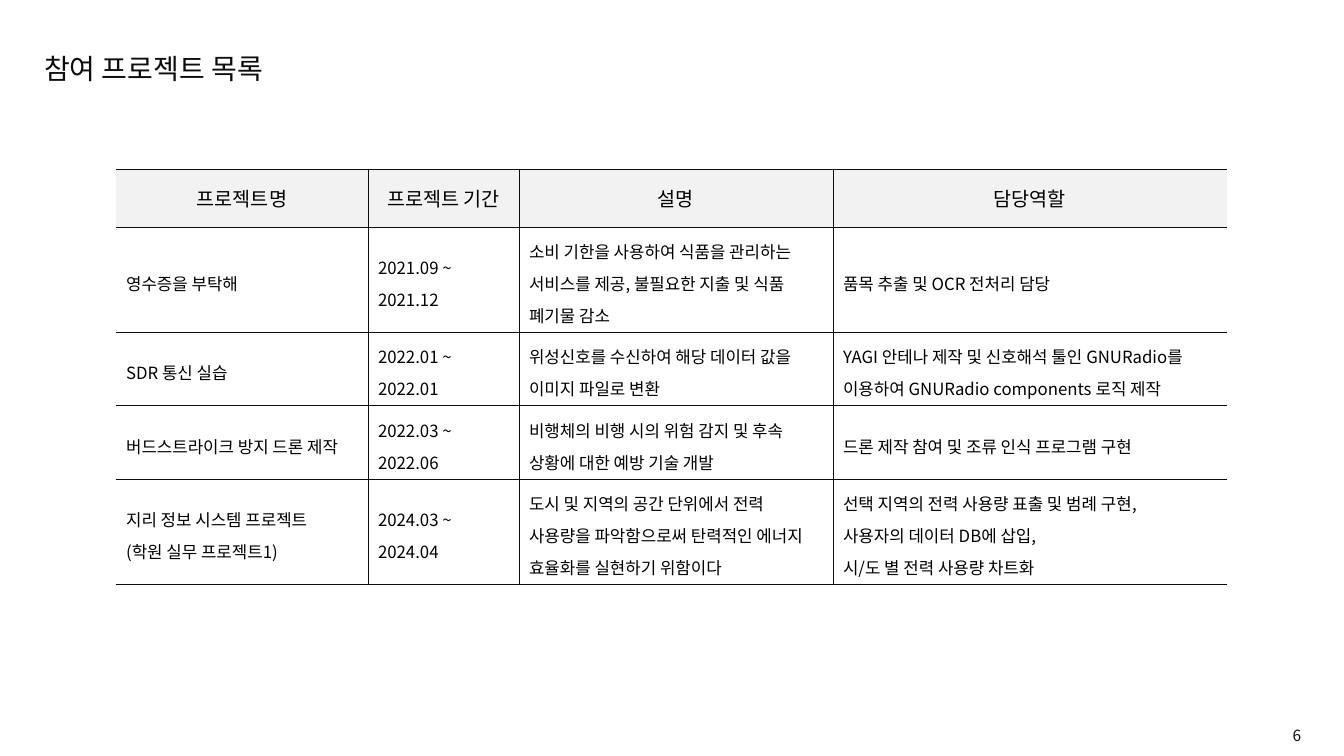
"""Build the slide listing the projects taken part in."""
from dataclasses import dataclass

from lxml import etree
from pptx import Presentation
from pptx import util as u
from pptx.dml.color import RGBColor
from pptx.enum import text
from pptx.oxml.ns import qn

TITLE = "참여 프로젝트 목록"
PAGE_NUMBER = "6"
HEADERS = ["프로젝트명", "프로젝트 기간", "설명", "담당역할"]
PROJECTS = [
    ("영수증을 부탁해",
     "2021.09 ~ 2021.12",
     "소비 기한을 사용하여 식품을 관리하는 서비스를 제공, 불필요한 지출 및 식품 폐기물 감소",
     "품목 추출 및 OCR 전처리 담당"),
    ("SDR 통신 실습",
     "2022.01 ~ 2022.01",
     "위성신호를 수신하여 해당 데이터 값을 이미지 파일로 변환",
     "YAGI 안테나 제작 및 신호해석 툴인 GNURadio를 이용하여 GNURadio components 로직 제작"),
    ("버드스트라이크 방지 드론 제작",
     "2022.03 ~ 2022.06",
     "비행체의 비행 시의 위험 감지 및 후속 상황에 대한 예방 기술 개발",
     "드론 제작 참여 및 조류 인식 프로그램 구현"),
    ("지리 정보 시스템 프로젝트\n(학원 실무 프로젝트1)",
     "2024.03 ~ 2024.04",
     "도시 및 지역의 공간 단위에서 전력 사용량을 파악함으로써 탄력적인 에너지 효율화를 실현하기 위함이다",
     "선택 지역의 전력 사용량 표출 및 범례 구현,\n사용자의 데이터 DB에 삽입,\n시/도 별 전력 사용량 차트화"),
]

SLIDE_SIZE = (1344, 756)
TITLE_BOX = (34, 37, 495, 52)
NUMBER_BOX = (1242, 721, 69, 29)
TABLE_CORNER = (116, 169)
COLUMN_WIDTHS = [252, 151, 314, 394]
HEADER_HEIGHT, PROJECT_HEIGHT = 58, 55
EMU_PER_PX = 914400 / 100.8


@dataclass(frozen=True)
class Theme:
    """Colours, font and type sizes of the slide."""
    font: str = "Noto Sans CJK KR"
    ink: str = "0D0D0D"
    cell_ink: str = "000000"
    header_fill: str = "F2F2F2"
    rule: float = 0.5
    title: int = 20
    header: int = 14
    body: int = 12
    number: int = 11
    spacing: float = 1.3


THEME = Theme()
ALIGN = text.PP_ALIGN


def px(length):
    """Turn px into EMU."""
    return u.Emu(round(length * EMU_PER_PX))


def write(frame, words, size, color, align=ALIGN.LEFT, spacing=None):
    """Fill a text frame and format every paragraph."""
    frame.text = words
    for para in frame.paragraphs:
        para.alignment = align
        para.line_spacing = spacing
        for span in para.runs:
            span.font.size = u.Pt(size)
            span.font.color.rgb = RGBColor.from_string(color)
            span.font.name = THEME.font
            east_asian = etree.SubElement(span.font._element, qn("a:ea"))
            east_asian.set("typeface", THEME.font)


def rule_cell(cell, visible):
    """Draw the visible sides of a cell and blank the others."""
    properties = cell._tc.get_or_add_tcPr()
    for index, side in enumerate("LRTB"):
        line = etree.Element(qn(f"a:ln{side}"), w=str(u.Pt(THEME.rule)))
        if side in visible:
            fill = etree.SubElement(line, qn("a:solidFill"))
            etree.SubElement(fill, qn("a:srgbClr"), val=THEME.ink)
        else:
            etree.SubElement(line, qn("a:noFill"))
        properties.insert(index, line)


def add_projects(page):
    """Add the table of projects."""
    rows = [HEADERS, *PROJECTS]
    heights = [HEADER_HEIGHT] + [PROJECT_HEIGHT] * len(PROJECTS)
    size = (sum(COLUMN_WIDTHS), sum(heights))
    table = page.shapes.add_table(len(rows), len(HEADERS),
                                  *map(px, TABLE_CORNER + size)).table
    table.first_row = table.horz_banding = False
    for column, width in zip(table.columns, COLUMN_WIDTHS):
        column.width = px(width)
    last = len(HEADERS) - 1
    for r, (entries, height) in enumerate(zip(rows, heights)):
        table.rows[r].height = px(height)
        for c, words in enumerate(entries):
            cell = table.cell(r, c)
            cell.vertical_anchor = text.MSO_ANCHOR.MIDDLE
            if r == 0:
                cell.fill.solid()
                cell.fill.fore_color.rgb = RGBColor.from_string(THEME.header_fill)
                write(cell.text_frame, words, THEME.header, THEME.cell_ink, ALIGN.CENTER)
            else:
                cell.fill.background()
                write(cell.text_frame, words, THEME.body, THEME.cell_ink,
                      spacing=THEME.spacing)
            rule_cell(cell, "TB" + "L" * (c > 0) + "R" * (c < last))


def main():
    deck = Presentation()
    deck.slide_width, deck.slide_height = map(px, SLIDE_SIZE)
    page = deck.slides.add_slide(deck.slide_layouts[5])

    title = page.shapes.title
    title.left, title.top, title.width, title.height = map(px, TITLE_BOX)
    title.text_frame.vertical_anchor = text.MSO_ANCHOR.MIDDLE
    title.text_frame.auto_size = text.MSO_AUTO_SIZE.NONE
    write(title.text_frame, TITLE, THEME.title, THEME.ink, spacing=THEME.spacing)

    add_projects(page)

    number = page.shapes.add_textbox(*map(px, NUMBER_BOX))
    number.text_frame.word_wrap = True
    write(number.text_frame, PAGE_NUMBER, THEME.number, THEME.ink, ALIGN.RIGHT)

    deck.save("out.pptx")


if __name__ == "__main__":
    main()
